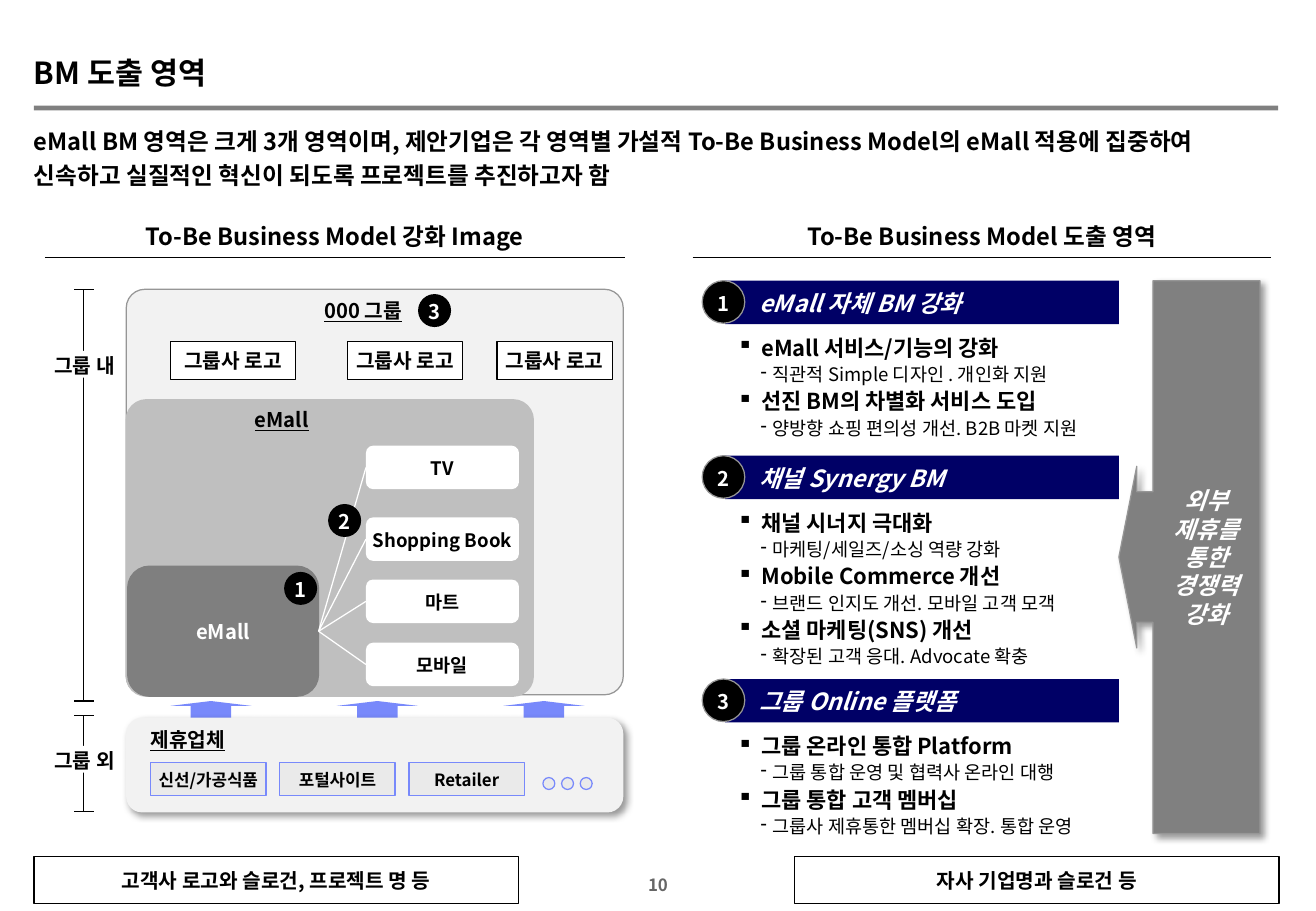
from lxml import etree
from pptx import Presentation
from pptx import util as u
from pptx.dml.color import RGBColor
from pptx.enum import shapes, text
from pptx.oxml.ns import qn

FONT = "Noto Sans CJK KR"
BLACK, WHITE, GRAY, SILVER = "000000", "FFFFFF", "808080", "969696"
PALE, NAVY, BLUE, TILE = "F2F2F2", "000066", "7889FB", "EAEAEA"
S, A, V = shapes.MSO_SHAPE, text.PP_ALIGN, text.MSO_ANCHOR
NONE = (0, 0, 0, 0)
TIGHT = (0.05, 0.13, 0.05, 0.13)
NORMAL = (0.25, 0.13, 0.25, 0.13)

# Content; all lengths are centimetres
TITLE = "BM 도출 영역"
LEAD = ("eMall BM 영역은 크게 3개 영역이며, 제안기업은 각 영역별 가설적 To-Be Business Model의 "
        "eMall 적용에 집중하여 신속하고 실질적인 혁신이 되도록 프로젝트를 추진하고자 함")
FOOTERS = [(0.71, "고객사 로고와 슬로건, 프로젝트 명 등"), (16.61, "자사 기업명과 슬로건 등")]
HEADINGS = [  # text left, width, rule left, rule right
    ("To-Be Business Model 강화 Image", 3.0, 8.0, 0.94, 13.06),
    ("To-Be Business Model 도출 영역", 16.74, 7.57, 14.48, 26.57),
]
BRACKETS = [("그룹 내", 6.05, 14.66, 7.34), ("그룹 외", 14.96, 16.97, 15.6)]
LOGOS = [(3.56, 2.62), (7.26, 2.41), (10.39, 2.41)]
CHANNELS = [("TV", 9.32), ("Shopping Book", 10.82), ("마트", 12.12), ("모바일", 13.44)]
BADGES = [("1", 5.94, 11.96), ("2", 6.86, 10.54), ("3", 8.74, 6.15)]
PARTNERS = ["신선/가공식품", "포털사이트", "Retailer"]
AREAS = [
    ("eMall 자체 BM 강화", 5.87, 2.51, [
        ("eMall 서비스/기능의 강화", "직관적 Simple 디자인 . 개인화 지원"),
        ("선진 BM의 차별화 서비스 도입", "양방향 쇼핑 편의성 개선. B2B 마켓 지원")]),
    ("채널 Synergy BM", 9.53, 3.66, [
        ("채널 시너지 극대화", "마케팅/세일즈/소싱 역량 강화"),
        ("Mobile Commerce 개선", "브랜드 인지도 개선. 모바일 고객 모객"),
        ("소셜 마케팅(SNS) 개선", "확장된 고객 응대. Advocate 확충")]),
    ("그룹 Online 플랫폼", 14.2, 2.51, [
        ("그룹 온라인 통합 Platform", "그룹 통합 운영 및 협력사 온라인 대행"),
        ("그룹 통합 고객 멤버십", "그룹사 제휴통한 멤버십 확장. 통합 운영")]),
]
CALLOUT = ["외부", "제휴를", "통한", "경쟁력", "강화"]


def color(value):
    return RGBColor.from_string(value)


def add_run(paragraph, content, size, ink=BLACK, bold=True, italic=False, underline=False):
    run = paragraph.add_run()
    run.text = content
    font = run.font
    font.name, font.size, font.bold = FONT, u.Pt(size), bold
    font.color.rgb = color(ink)
    if italic:
        font.italic = True
    if underline:
        font.underline = True
    east_asian = etree.Element(qn("a:ea"), typeface=FONT)
    run._r.get_or_add_rPr().find(qn("a:latin")).addnext(east_asian)


def set_frame(shape, insets=NONE, anchor=V.MIDDLE, wrap=False):
    frame = shape.text_frame
    frame.auto_size = text.MSO_AUTO_SIZE.NONE
    frame.word_wrap, frame.vertical_anchor = wrap, anchor
    (frame.margin_left, frame.margin_top,
     frame.margin_right, frame.margin_bottom) = map(u.Cm, insets)
    return frame


def write(shape, lines, size, insets=NONE, anchor=V.MIDDLE, wrap=False,
          align=A.CENTER, spacing=None, **style):
    """Put one paragraph in a shape; a list of lines is parted by line breaks."""
    paragraph = set_frame(shape, insets, anchor, wrap).paragraphs[0]
    paragraph.alignment = align
    if spacing:
        paragraph.line_spacing = spacing
    for number, line in enumerate([lines] if isinstance(lines, str) else lines):
        if number:
            paragraph.add_line_break()
        add_run(paragraph, line, size, **style)


def add_box(kind, left, top, width, height, fill, line=None, adjust=(), shadow=False):
    shape = slide.shapes.add_shape(kind, *map(u.Cm, (left, top, width, height)))
    shape.fill.solid()
    shape.fill.fore_color.rgb = color(fill)
    if line:
        shape.line.color.rgb = color(line)
        shape.line.width = u.Pt(0.75)
    else:
        shape.line.fill.background()
    for index, value in enumerate(adjust):
        shape.adjustments[index] = value
    shape.shadow.inherit = False
    if shadow:
        effects = shape._element.spPr.find(qn("a:effectLst"))
        outer = etree.SubElement(effects, qn("a:outerShdw"), blurRad=str(u.Pt(4)),
                                 dist=str(u.Pt(3)), dir="2700000", algn="tl", rotWithShape="0")
        tone = etree.SubElement(outer, qn("a:srgbClr"), val=BLACK)
        etree.SubElement(tone, qn("a:alpha"), val="40000")
    return shape


def add_text(left, top, width, height):
    return slide.shapes.add_textbox(*map(u.Cm, (left, top, width, height)))


def add_line(x1, y1, x2, y2, ink=BLACK, width=0.75):
    line = slide.shapes.add_connector(shapes.MSO_CONNECTOR.STRAIGHT,
                                      *map(u.Cm, (x1, y1, x2, y2)))
    line.line.color.rgb = color(ink)
    line.line.width = u.Pt(width)
    etree.SubElement(line._element.spPr, qn("a:effectLst"))
    return line


def add_bullet(paragraph, mark, left, hanging):
    paragraph.line_spacing = 1.1
    properties = paragraph._p.get_or_add_pPr()
    properties.set("marL", str(u.Cm(left)))
    properties.set("indent", str(-u.Cm(hanging)))
    tone = etree.SubElement(properties, qn("a:buClr"))
    etree.SubElement(tone, qn("a:srgbClr"), val=BLACK)
    etree.SubElement(properties, qn("a:buChar"), char=mark)


presentation = Presentation()
presentation.slide_width, presentation.slide_height = u.Cm(27.51), u.Cm(19.05)
slide = presentation.slides.add_slide(presentation.slide_layouts[5])

# Title, lead sentence and footer
title = slide.shapes.title
title.left, title.top, title.width, title.height = map(u.Cm, (0.71, 1.22, 4.6, 0.69))
write(title, TITLE, 18, align=A.LEFT, spacing=0.9)
add_box(S.RECTANGLE, 0.71, 2.21, 26.01, 0.1, GRAY)
write(add_text(0.71, 2.54, 26.01, 1.37), LEAD, 14, anchor=V.TOP, wrap=True,
      align=A.LEFT, spacing=1.2)
for left, label in FOOTERS:
    write(add_box(S.RECTANGLE, left, 17.91, 10.13, 0.99, WHITE, BLACK), label, 12, wrap=True)
write(add_text(13.54, 18.29, 0.43, 0.43), "10", 10, ink="666666")
for label, left, width, start, end in HEADINGS:
    write(add_text(left, 4.65, width, 0.61), label, 14, anchor=V.TOP)
    add_line(start, 5.38, end, 5.38, width=0.5)

# Brackets for inside and outside the group
for label, top, bottom, label_top in BRACKETS:
    add_line(1.75, top, 1.75, bottom)
    for y in (top, bottom):
        add_line(1.55, y, 1.96, y)
    write(add_box(S.RECTANGLE, 1.07, label_top, 1.4, 0.56, WHITE), label, 12, spacing=1.1)

# Partners below the group
for column in range(3):
    add_box(S.UP_ARROW, 3.56 + 3.48 * column, 14.66, 1.7, 0.41, BLUE, adjust=(0.5, 0.25))
partner_panel = add_box(S.ROUNDED_RECTANGLE, 2.64, 15.01, 10.39, 1.98, PALE,
                        adjust=(0.167,), shadow=True)
write(partner_panel, "제휴업체", 12, (0.41, 0.1, 0.05, 0.13), V.TOP, align=A.LEFT,
      underline=True)
for column, partner in enumerate(PARTNERS):
    tile = add_box(S.RECTANGLE, 3.15 + 2.7 * column, 15.95, 2.41, 0.69, TILE, BLUE)
    write(tile, partner, 10, TIGHT, spacing=1.1)
    add_box(S.OVAL, 11.35 + 0.39 * column, 16.26, 0.25, 0.25, TILE, BLUE)

# Group, mall and channels
add_box(S.ROUNDED_RECTANGLE, 2.64, 6.05, 10.39, 8.48, PALE, SILVER, (0.046,))
add_box(S.ROUNDED_RECTANGLE, 2.64, 8.36, 8.51, 6.2, "BFBFBF", "BFBFBF", (0.068,))
mall = add_box(S.ROUNDED_RECTANGLE, 2.67, 11.84, 3.99, 2.72, "7F7F7F", "7F7F7F", (0.167,))
write(mall, "eMall", 12, NORMAL, ink=WHITE)
write(add_text(5.08, 8.33, 1.73, 0.79), "eMall", 12, NORMAL, V.TOP, align=A.LEFT,
      spacing=1.1, underline=True)
write(add_text(5.84, 6.05, 3.51, 0.81), "000 그룹", 12, NORMAL, V.TOP, spacing=1.1,
      underline=True)
for left, width in LOGOS:
    write(add_box(S.RECTANGLE, left, 7.14, width, 0.79, WHITE, BLACK), "그룹사 로고", 12,
          wrap=True)
for label, top in CHANNELS:
    channel = add_box(S.ROUNDED_RECTANGLE, 7.65, top, 3.2, 0.91, WHITE, adjust=(0.167,))
    write(channel, label, 11, TIGHT, spacing=1.1)
    link = add_line(6.66, 13.2, 7.65, top + 0.455, WHITE)
    link.begin_connect(mall, 3)
    link.end_connect(channel, 1)
for number, left, top in BADGES:
    write(add_box(S.OVAL, left, top, 0.69, 0.69, BLACK), number, 12, TIGHT, spacing=1.1,
          ink=WHITE)

# Business model areas
for number, (heading, top, height, items) in enumerate(AREAS, 1):
    frame = set_frame(add_text(15.16, top + 0.94, 8.33, height), NORMAL, V.TOP, True)
    paragraph = frame.paragraphs[0]
    for index, (point, detail) in enumerate(items):
        if index:
            paragraph = frame.add_paragraph()
        add_bullet(paragraph, "▪", 0.51, 0.51)
        add_run(paragraph, point, 13)
        paragraph = frame.add_paragraph()
        paragraph.level = 1
        add_bullet(paragraph, "-", 0.74, 0.25)
        add_run(paragraph, detail, 11, bold=False)
    write(add_box(S.RECTANGLE, 15.16, top, 8.23, 0.91, NAVY), heading, 14, (0.71, 0, 0, 0),
          wrap=True, align=A.LEFT, spacing=u.Pt(17), ink=WHITE, italic=True)
    write(add_box(S.OVAL, 14.68, top, 0.89, 0.89, BLACK, SILVER), str(number), 12, TIGHT,
          spacing=1.1, ink=WHITE)
callout = add_box(S.LEFT_ARROW_CALLOUT, 23.39, 5.87, 2.95, 11.56, GRAY, SILVER,
                  (0.926, 0.644, 0.127, 0.758), True)
write(callout, CALLOUT, 14, TIGHT, ink=WHITE, italic=True)

presentation.save("out.pptx")
